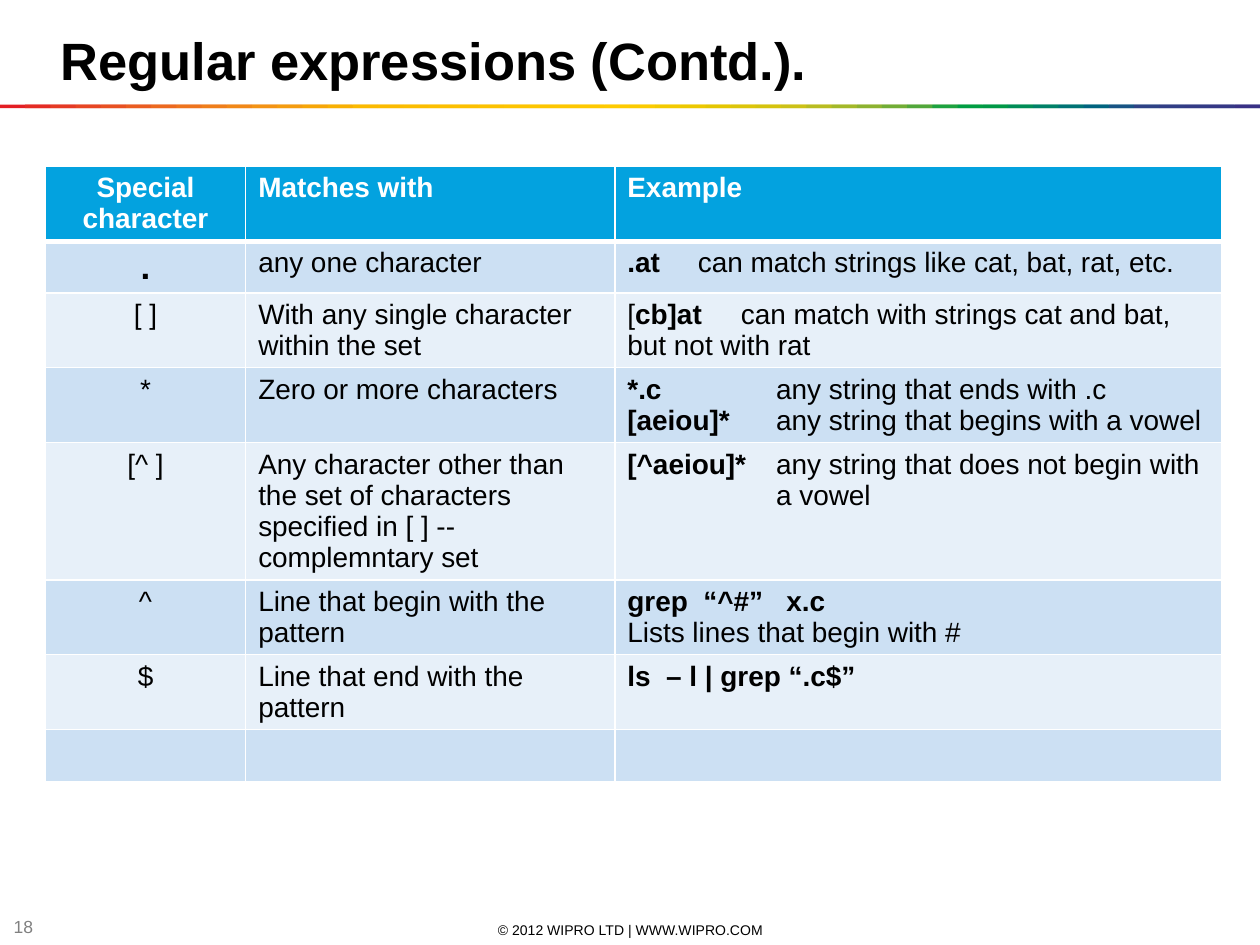
from lxml import etree
from pptx import Presentation
from pptx.dml.color import RGBColor
from pptx.enum import shapes, text
from pptx.oxml import ns
from pptx.util import Inches, Pt

COLORS = {
    "black": "000000", "white": "FFFFFF", "gray": "808080",
    "header": "03A2DF", "band dark": "CCE0F3", "band light": "E7F0F9",
    "rainbow": """
        E31E24 E42C24 E53A24 E74623 E85122 EA5D21 EC691F EE741D EF7E1A F18817
        F39314 F49C0F F6A607 F8B002 FBBA00 FBBB00 FBBD00 FCBF00 FCC000 FCC200
        FDC400 FDC600 FDC700 FEC900 FECB00 FBCB00 F3CA00 ECC800 E4C602 DCC50A
        D5C30E CCC117 B8BC21 A3B829 8CB230 71AD36 51A73B 1DA240 009D43 009846
        008C57 008068 007275 00637F 185384 2E4285 313E85 333B85 353885 393185
    """,
}


def style(font, size, color, bold=False):
    font.name = "Arial"
    font.size = Pt(size)
    font.bold = bold
    font.color.rgb = RGBColor.from_string(COLORS[color])


def add_xml(parent, tag, **attributes):
    return etree.SubElement(parent, ns.qn(tag), **attributes)


prs = Presentation()
prs.slide_width, prs.slide_height = Inches(10), Inches(7.5)
slide = prs.slides.add_slide(prs.slide_layouts[5])

# Title
title = slide.shapes.title
title.left, title.top = Inches(0.38), Inches(0.16)
title.width, title.height = Inches(9.13), Inches(0.61)
title.text_frame.text = "Regular expressions (Contd.)."
title.text_frame.vertical_anchor = text.MSO_ANCHOR.BOTTOM
heading = title.text_frame.paragraphs[0]
heading.alignment = text.PP_ALIGN.LEFT
style(heading.runs[0].font, 30, "black", True)

# Rainbow rule: each strip runs under the next one so that no seam shows
strip_step = 0.2
for i, color in enumerate(COLORS["rainbow"].split()):
    left = i * strip_step
    strip = slide.shapes.add_shape(
        shapes.MSO_SHAPE.RECTANGLE, Inches(left), Inches(0.83),
        Inches(min(2 * strip_step, 10 - left)), Inches(0.03))
    strip.shadow.inherit = False
    strip.fill.solid()
    strip.fill.fore_color.rgb = RGBColor.from_string(color)
    strip.line.fill.background()

# Table: an example is a list of paragraphs, each a list of (wording, bold) runs,
# with the position of the tab stop that lines up the explanations
header = ["Special character", "Matches with", "Example"]
rules = [
    (".", "any one character", 0.56,
     [[(".at", True), ("\tcan match strings like cat, bat, rat, etc.", False)]]),
    ("[ ]", "With any single character within the set", 0.9,
     [[("[", False), ("cb]at", True),
       ("\tcan match with strings cat and bat, but not with rat", False)]]),
    ("*", "Zero or more characters", 1.18,
     [[("*.c", True), ("\tany string that ends with .c", False)],
      [("[aeiou]*", True), ("\tany string that begins with a vowel", False)]]),
    ("[^ ]", "Any character other than the set of characters specified in [ ] -- "
     "complemntary set", 1.18,
     [[("[^aeiou]*", True), ("\tany string that does not begin with", False)],
      [("\ta vowel", False)]]),
    ("^", "Line that begin with the pattern", None,
     [[("grep  “^#”   x.c", True)], [("Lists lines that begin with #", False)]]),
    ("$", "Line that end with the pattern", None,
     [[("ls  – l | grep “.c$”", True)]]),
    ("", "", None, []),
]
column_widths = [1.59, 2.93, 4.82]
row_heights = [0.59, 0.41, 0.59, 0.59, 1.09, 0.59, 0.59, 0.41]

table = slide.shapes.add_table(
    len(row_heights), len(column_widths), Inches(0.36), Inches(1.32),
    Inches(sum(column_widths)), Inches(sum(row_heights))).table
for column, width in zip(table.columns, column_widths):
    column.width = Inches(width)
for row, height in zip(table.rows, row_heights):
    row.height = Inches(height)

for r, row in enumerate(table.rows):
    fill = "header" if r == 0 else "band dark" if r % 2 else "band light"
    for cell in row.cells:
        properties = cell._tc.get_or_add_tcPr()
        for side in "LRTB":
            thick = (r, side) in [(0, "B"), (1, "T")]
            border = add_xml(properties, f"a:ln{side}", w=str(Pt(3 if thick else 1)))
            add_xml(add_xml(border, "a:solidFill"), "a:srgbClr", val=COLORS["white"])
        cell.fill.solid()
        cell.fill.fore_color.rgb = RGBColor.from_string(COLORS[fill])
    row.cells[0].text_frame.paragraphs[0].alignment = text.PP_ALIGN.CENTER

for c, label in enumerate(header):
    paragraph = table.cell(0, c).text_frame.paragraphs[0]
    paragraph.text = label
    style(paragraph.runs[0].font, 16, "white", True)

for r, (symbol, meaning, tab, example) in enumerate(rules, 1):
    is_dot = symbol == "."
    for c, wording in enumerate([symbol, meaning]):
        paragraph = table.cell(r, c).text_frame.paragraphs[0]
        paragraph.text = wording
        bold_dot = is_dot and c == 0
        style(paragraph.font, 20 if bold_dot else 16, "black", bold_dot)
        for run in paragraph.runs:
            style(run.font, 20 if bold_dot else 16, "black", bold_dot)
    frame = table.cell(r, 2).text_frame
    for i, parts in enumerate(example):
        paragraph = frame.add_paragraph() if i else frame.paragraphs[0]
        if tab:
            stops = add_xml(paragraph._p.get_or_add_pPr(), "a:tabLst")
            add_xml(stops, "a:tab", pos=str(Inches(tab)), algn="l")
        for wording, bold in parts:
            run = paragraph.add_run()
            run.text = wording
            style(run.font, 16, "black", bold)

# Footer
footer = [
    ("© 2012 WIPRO LTD | WWW.WIPRO.COM", 3.42, 7.3, 3.17, 8, "black", text.PP_ALIGN.CENTER),
    ("18", 0.01, 7.27, 0.39, 10, "gray", text.PP_ALIGN.LEFT),
]
for wording, left, top, width, size, color, alignment in footer:
    note = slide.shapes.add_textbox(
        Inches(left), Inches(top), Inches(width), Inches(0.16)).text_frame
    note.word_wrap = True
    note.margin_top = note.margin_bottom = 0
    note.vertical_anchor = text.MSO_ANCHOR.MIDDLE
    note.text = wording
    note.paragraphs[0].alignment = alignment
    style(note.paragraphs[0].runs[0].font, size, color)

prs.save("out.pptx")
